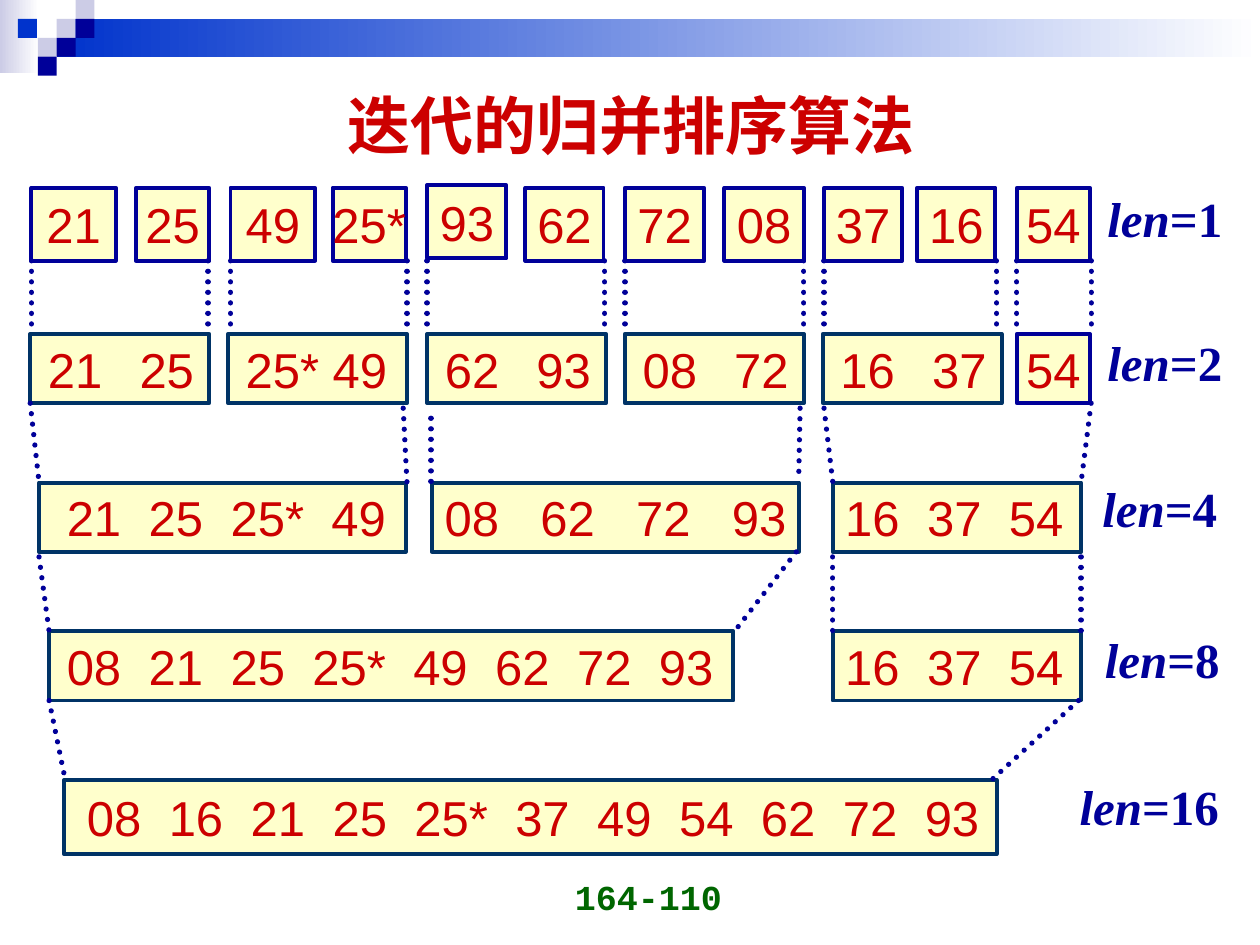
from pptx import Presentation
from pptx.dml.color import RGBColor
from pptx.enum.dml import MSO_LINE
from pptx.enum.shapes import MSO_CONNECTOR, MSO_SHAPE
from pptx.enum.text import MSO_ANCHOR, MSO_AUTO_SIZE, PP_ALIGN
from pptx.oxml.ns import qn
from pptx.util import Inches, Pt
from lxml import etree

RECT = MSO_SHAPE.RECTANGLE
STRAIGHT = MSO_CONNECTOR.STRAIGHT
DOTS = MSO_LINE.ROUND_DOT
GROW, FIXED = MSO_AUTO_SIZE.SHAPE_TO_FIT_TEXT, MSO_AUTO_SIZE.NONE
MIDDLE, BOTTOM, TOP = MSO_ANCHOR.MIDDLE, MSO_ANCHOR.BOTTOM, MSO_ANCHOR.TOP
LEFT, CENTER, RIGHT = PP_ALIGN.LEFT, PP_ALIGN.CENTER, PP_ALIGN.RIGHT

NAVY, TEAL, RED = "000099", "003366", "CC0000"
CREAM, GREEN, BLUE, LILAC, WHITE = "FFFFCC", "006600", "0033CC", "CCCCE6", "FFFFFF"

TITLE = "迭代的归并排序算法"
PAGE = "164-110"
STEP = 0.15
BANDS = [((0, 0, 0.31, 0.58), LILAC), ((0.45, STEP, 9.55, 2 * STEP), BLUE)]
SQUARES = [(3, 1, LILAC), (4, 0, LILAC), (4, 1, NAVY), (2, 2, LILAC),
           (0.95, 1, BLUE), (3, 2, NAVY), (2, 3, NAVY)]

DIGITS, STAR, SPACE = 0.43, 0.15, 0.11
ROWS = [
    (1.49, 0.58, [(0.25, 0.67, "21"), (1.08, 0.58, "25"), (1.83, 0.67, "49"),
                  (2.64, 0.58, "25*"), (4.17, 0.62, "62"), (4.96, 0.63, "72"),
                  (5.75, 0.63, "08"), (6.54, 0.62, "37"), (7.28, 0.62, "16"),
                  (8.07, 0.58, "54")]),
    (1.47, 0.58, [(3.39, 0.63, "93")]),
    (2.65, 0.55, [(0.24, 1.42, "21 25", 0.14, 2.7), (1.81, 1.42, "25* 49", 0.14, 1),
                  (3.39, 1.42, "62 93", 0.14, 2.7), (4.96, 1.42, "08 72", 0.14, 2.7),
                  (6.53, 1.42, "16 37", 0.14, 2.7), (8.07, 0.58, "54")]),
    (3.83, 0.55, [(0.31, 2.91, "21 25 25* 49", 0.22, 2),
                  (3.43, 2.91, "08 62 72 93", 0.1, 3),
                  (6.61, 1.97, "16 37 54", 0.1, 2)]),
    (5.01, 0.55, [(0.39, 5.43, "08 21 25 25* 49 62 72 93", 0.14, 2),
                  (6.61, 1.97, "16 37 54", 0.1, 2)]),
    (6.19, 0.59, [(0.51, 7.4, "08 16 21 25 25* 37 49 54 62 72 93", 0.18, 2)]),
]
LENGTHS = [(8.69, 1.45, 1.11, "=1"), (8.69, 2.59, 1.11, "=2"), (8.65, 3.75, 1.11, "=4"),
           (8.67, 4.95, 1.11, "=8"), (8.47, 6.11, 1.36, "=16")]

DROPS = [0.25, 1.65, 1.83, 3.23, 3.39, 4.8, 4.96, 6.38, 6.54, 7.91, 8.07, 8.66]
LINKS = [(x, 2.07, x, 2.65) for x in DROPS] + [
    (0.24, 3.2, 0.31, 3.83), (3.2, 3.24, 3.23, 3.83),
    (3.42, 3.32, 3.42, 3.9), (6.35, 3.24, 6.34, 3.75),
    (6.54, 3.24, 6.61, 3.83), (8.66, 3.2, 8.58, 3.83),
    (0.31, 4.42, 0.39, 5.01), (6.32, 4.38, 5.83, 5.01),
    (6.61, 4.42, 6.61, 5.01), (8.58, 4.42, 8.58, 5.01),
    (0.39, 5.56, 0.51, 6.15), (8.56, 5.56, 7.87, 6.19),
]

prs = Presentation()
prs.slide_width, prs.slide_height = Inches(10), Inches(7.5)
slide = prs.slides.add_slide(prs.slide_layouts[5])


def rgb(value):
    return RGBColor.from_string(value)


def add_run(p, text, size, font, color, bold=False, italic=False):
    r = p.add_run()
    r.text = text
    r.font.size, r.font.name = Pt(size), font
    r.font.bold, r.font.italic = bold, italic
    r.font.color.rgb = rgb(color)


def add_rect(x, y, w, h, fill, edge=None):
    sp = slide.shapes.add_shape(RECT, Inches(x), Inches(y), Inches(w), Inches(h))
    sp.shadow.inherit = False
    sp.fill.solid()
    sp.fill.fore_color.rgb = rgb(fill)
    if edge:
        sp.line.color.rgb = rgb(edge)
        sp.line.width = Pt(2.25)
    else:
        sp.line.fill.background()
    return sp


def add_band(place, color):
    sp = add_rect(*place, color)
    sp.fill.gradient()
    sp.fill.gradient_angle = 0
    for stop, value in zip(sp.fill.gradient_stops, (color, WHITE)):
        stop.color.rgb = rgb(value)


def add_tabs(p, numbers, gap):
    tabs = etree.SubElement(p._p.get_or_add_pPr(), qn("a:tabLst"))
    pos = 0
    for number in numbers[:-1]:
        pos += DIGITS + STAR * number.endswith("*") + SPACE * gap
        etree.SubElement(tabs, qn("a:tab"), pos=str(Inches(pos)), algn="l")


def add_list(y, h, x, w, text, inset=0, gap=0):
    numbers = text.split()
    single = len(numbers) == 1
    tf = add_rect(x, y, w, h, CREAM, NAVY if single else TEAL).text_frame
    tf.vertical_anchor = MIDDLE
    tf.word_wrap = not single
    p = tf.paragraphs[0]
    p.alignment = CENTER if single else LEFT
    if not single:
        tf.margin_left, tf.margin_right = Inches(inset), 0
        add_tabs(p, numbers, gap)
    add_run(p, "\t".join(numbers), 28, "Arial", RED)


def add_text(x, y, w, h, align, anchor, fixed):
    tf = slide.shapes.add_textbox(Inches(x), Inches(y), Inches(w), Inches(h)).text_frame
    tf.word_wrap, tf.vertical_anchor = fixed, anchor
    tf.auto_size = FIXED if fixed else GROW
    p = tf.paragraphs[0]
    p.alignment = align
    return p


def add_link(x1, y1, x2, y2):
    line = slide.shapes.add_connector(STRAIGHT, Inches(x1), Inches(y1), Inches(x2), Inches(y2))
    line.line.color.rgb = rgb(NAVY)
    line.line.width = Pt(3)
    line.line.dash_style = DOTS
    line.line._ln.set("cap", "rnd")
    etree.SubElement(line._element.spPr, qn("a:effectLst"))


for place, color in BANDS:
    add_band(place, color)
for col, row, color in SQUARES:
    add_rect(col * STEP, row * STEP, STEP, STEP, color)

title = slide.shapes.title
title.left, title.top, title.width, title.height = map(Inches, (0.51, 0.52, 9, 0.93))
title.text_frame.vertical_anchor = MIDDLE
p = title.text_frame.paragraphs[0]
p.alignment = CENTER
add_run(p, TITLE, 36, "Times New Roman", RED, bold=True)

for top, height, boxes in ROWS:
    for box in boxes:
        add_list(top, height, *box)
for link in LINKS:
    add_link(*link)
for x, y, w, value in LENGTHS:
    p = add_text(x, y, w, 0.57, LEFT, TOP, False)
    add_run(p, "len", 28, "Times New Roman", NAVY, bold=True, italic=True)
    add_run(p, value, 28, "Times New Roman", NAVY, bold=True)
p = add_text(3.5, 6.83, 2.33, 0.5, RIGHT, BOTTOM, True)
add_run(p, PAGE, 20, "Courier New", GREEN, bold=True)

prs.save("out.pptx")
